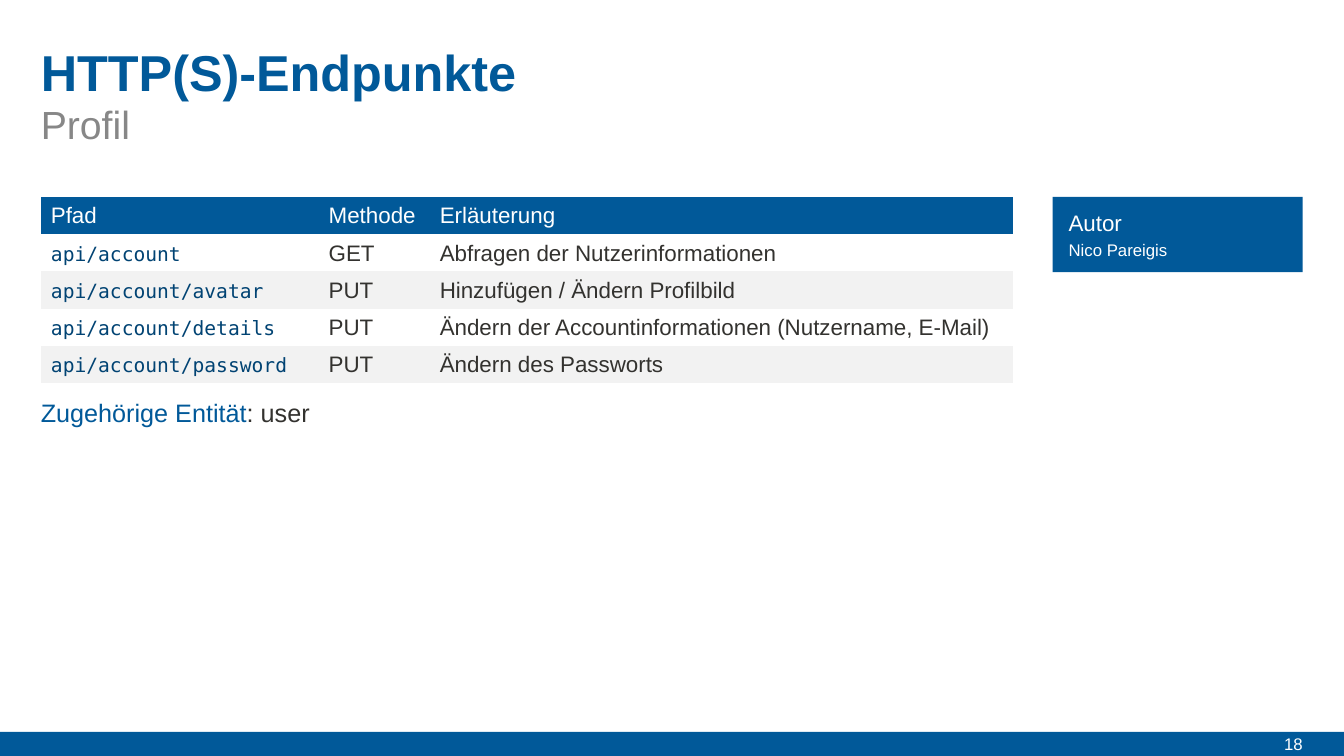
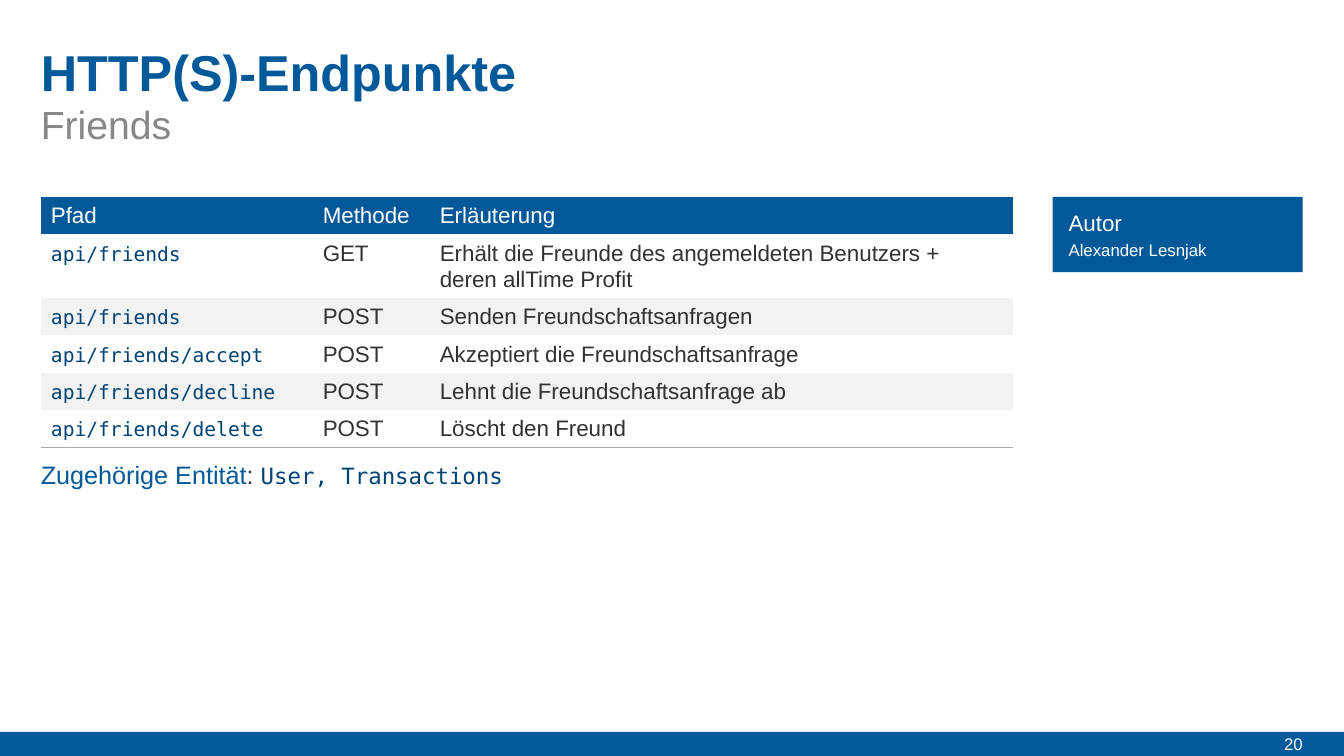
from lxml import etree
from pptx import Presentation
from pptx.dml.color import RGBColor
from pptx.enum.shapes import MSO_SHAPE as SHAPE
from pptx.enum.text import MSO_ANCHOR as ANCHOR, PP_ALIGN as ALIGN
from pptx.oxml.ns import qn
from pptx.util import Cm, Pt

BLUE, NAVY, GRAY, DARK = "015999", "014373", "878787", "33322F"
WHITE, STRIPE, RULE = "FFFFFF", "F2F2F2", "A9A9A9"
SANS, MONO = "Arial", "DejaVu Sans Mono"
NO_STYLE = "{2D5ABB26-0587-4C30-8999-92F81FD0307C}"

SLIDE_W, SLIDE_H = 33.87, 19.05
LEFT, CONTENT_W, CONTENT_TOP = 1.03, 24.5, 4.96
CARD_LEFT, CARD_W, CARD_PAD = 26.53, 6.3, 0.4
BAND_H = 0.61
BAND_TOP = SLIDE_H - BAND_H
ROW_H, TALL_ROW_H = 0.94, 1.61
HEADER = ("Pfad", "Methode", "Erläuterung")


def rgb(value):
    return RGBColor.from_string(value)


def add_run(p, text, size=16, color=DARK, font=SANS, bold=False):
    r = p.add_run()
    r.text = text
    r.font.name = font
    r.font.size = Pt(size)
    r.font.bold = bold
    r.font.color.rgb = rgb(color)


def add_text(s, text, left, top, width, height, spacing=None,
             align=ALIGN.LEFT, anchor=ANCHOR.TOP, **style):
    box = s.shapes.add_textbox(Cm(left), Cm(top), Cm(width), Cm(height))
    tf = box.text_frame
    tf.word_wrap = True
    tf.margin_left = tf.margin_right = tf.margin_top = tf.margin_bottom = 0
    tf.vertical_anchor = anchor
    p = tf.paragraphs[0]
    p.alignment = align
    p.line_spacing = spacing
    add_run(p, text, **style)
    return p


def add_block(s, left, top, width, height):
    sp = s.shapes.add_shape(SHAPE.RECTANGLE, Cm(left), Cm(top), Cm(width), Cm(height))
    sp.shadow.inherit = False
    sp.fill.solid()
    sp.fill.fore_color.rgb = rgb(BLUE)
    sp.line.fill.background()


def add_bottom_border(cell):
    line = etree.Element(qn("a:lnB"), w=str(Pt(0.5)))
    fill = etree.SubElement(line, qn("a:solidFill"))
    etree.SubElement(fill, qn("a:srgbClr"), val=RULE)
    cell._tc.get_or_add_tcPr().insert(0, line)


def fill_cell(cell, text, fill, **style):
    cell.fill.solid()
    cell.fill.fore_color.rgb = rgb(fill)
    p = cell.text_frame.paragraphs[0]
    p.line_spacing = Pt(19)
    add_run(p, text, **style)


def add_endpoint_table(s, endpoints, col_widths, tall_rows):
    rows = [HEADER, *endpoints]
    heights = [TALL_ROW_H if i in tall_rows else ROW_H for i in range(len(rows))]
    frame = s.shapes.add_table(len(rows), len(HEADER), Cm(LEFT), Cm(CONTENT_TOP),
                               Cm(CONTENT_W), Cm(sum(heights)))
    table = frame.table
    table.horz_banding = False
    table._tbl.tblPr.find(qn("a:tableStyleId")).text = NO_STYLE
    for column, width in zip(table.columns, col_widths):
        column.width = Cm(width)
    for i, (values, height) in enumerate(zip(rows, heights)):
        table.rows[i].height = Cm(height)
        fill = BLUE if i == 0 else WHITE if i % 2 else STRIPE
        for j, text in enumerate(values):
            if i == 0:
                style = dict(color=WHITE)
            elif j == 0:
                style = dict(size=14, color=NAVY, font=MONO)
            else:
                style = {}
            fill_cell(table.cell(i, j), text, fill, **style)
    if fill == WHITE:
        for j in range(len(HEADER)):
            add_bottom_border(table.cell(len(rows) - 1, j))


def add_entity_line(s, top, runs):
    p = add_text(s, "Zugehörige Entität", LEFT, top, CONTENT_W, 0.77,
                 spacing=Pt(22), size=18, color=BLUE)
    for text, style in runs:
        add_run(p, text, **style)


def add_author_card(s, author):
    add_block(s, CARD_LEFT, CONTENT_TOP, CARD_W, 1.9)
    left, width = CARD_LEFT + CARD_PAD, CARD_W - 2 * CARD_PAD
    add_text(s, "Autor", left, 5.29, width, 0.67, spacing=Pt(19), color=WHITE)
    add_text(s, author, left, 6.05, width, 0.5, spacing=Pt(14), size=12, color=WHITE)


def add_frame(prs, subtitle, number):
    s = prs.slides.add_slide(prs.slide_layouts[6])
    add_block(s, 0, BAND_TOP, SLIDE_W, BAND_H)
    add_text(s, number, 30.95, BAND_TOP, 1.88, BAND_H, align=ALIGN.RIGHT,
             anchor=ANCHOR.MIDDLE, size=12, color=WHITE)
    add_text(s, "HTTP(S)-Endpunkte", LEFT, 1.03, CONTENT_W, 1.57,
             size=36, color=BLUE, bold=True)
    add_text(s, subtitle, LEFT, 2.41, CONTENT_W, 1.4, spacing=1.1, size=28, color=GRAY)
    return s


def add_endpoint_slide(prs, subtitle, number, author, endpoints, col_widths,
                       entity_top, entity_runs, tall_rows=()):
    s = add_frame(prs, subtitle, number)
    add_endpoint_table(s, endpoints, col_widths, tall_rows)
    add_entity_line(s, entity_top, entity_runs)
    add_author_card(s, author)


def main():
    prs = Presentation()
    prs.slide_width, prs.slide_height = Cm(SLIDE_W), Cm(SLIDE_H)
    add_endpoint_slide(
        prs, "Profil", "18", "Nico Pareigis",
        [("api/account", "GET", "Abfragen der Nutzerinformationen"),
         ("api/account/avatar", "PUT", "Hinzufügen / Ändern Profilbild"),
         ("api/account/details", "PUT",
          "Ändern der Accountinformationen (Nutzername, E-Mail)"),
         ("api/account/password", "PUT", "Ändern des Passworts")],
        (7, 2.8, 14.7), 10.01, [(": user", dict(size=18))])
    add_endpoint_slide(
        prs, "Friends", "20", "Alexander Lesnjak",
        [("api/friends", "GET",
          "Erhält die Freunde des angemeldeten Benutzers + deren allTime Profit"),
         ("api/friends", "POST", "Senden Freundschaftsanfragen"),
         ("api/friends/accept", "POST", "Akzeptiert die Freundschaftsanfrage"),
         ("api/friends/decline", "POST", "Lehnt die Freundschaftsanfrage ab"),
         ("api/friends/delete", "POST", "Löscht den Freund")],
        (6.85, 2.95, 14.7), 11.56,
        [(": ", dict(size=18)),
         ("User, Transactions", dict(color=NAVY, font=MONO))],
        tall_rows=(1,))
    prs.save("out.pptx")


if __name__ == "__main__":
    main()
